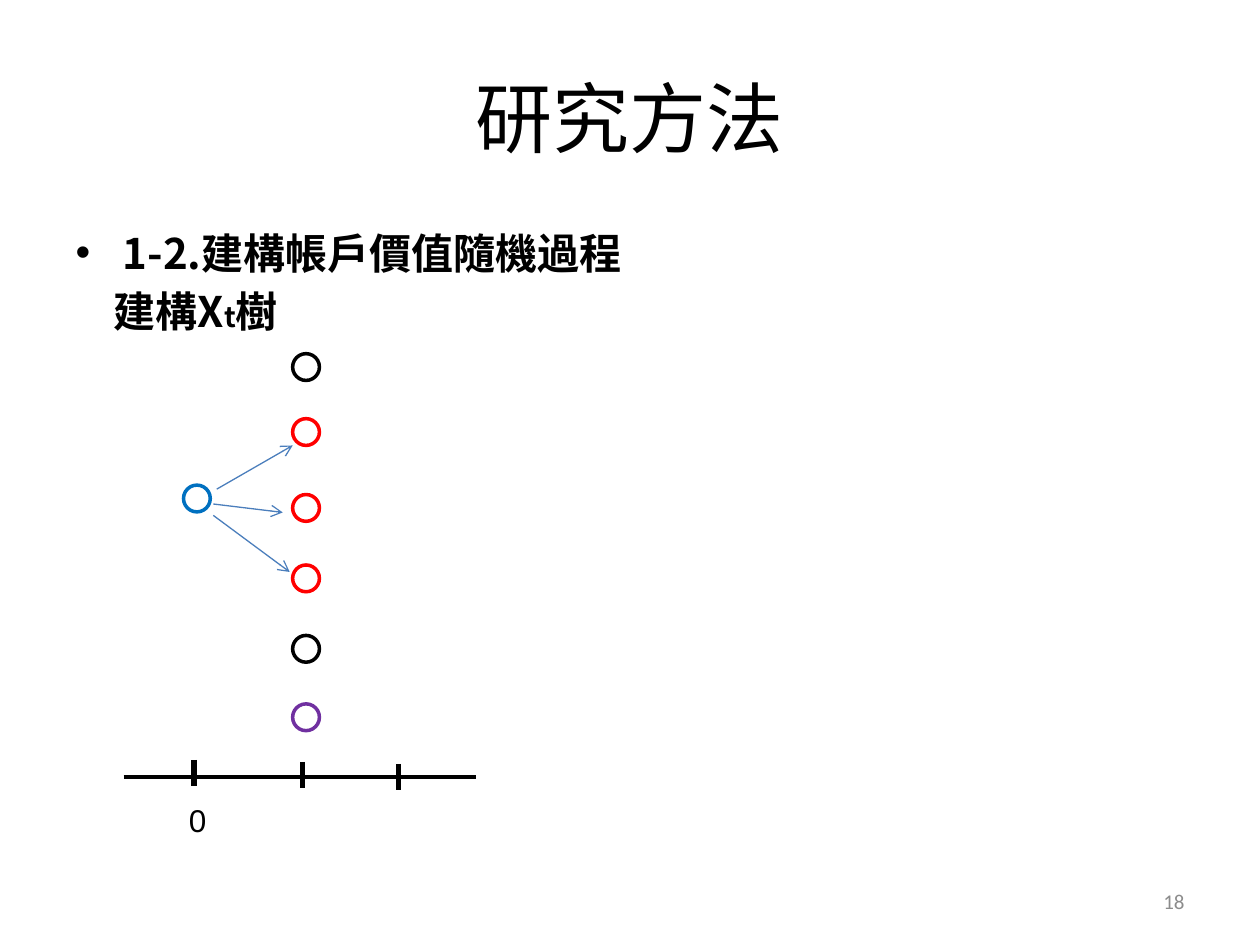
from lxml.etree import SubElement
from pptx import Presentation
from pptx.dml.color import RGBColor
from pptx.enum.shapes import MSO_CONNECTOR, MSO_SHAPE
from pptx.enum.text import MSO_ANCHOR as Anchor, PP_ALIGN as Align
from pptx.oxml.ns import qn
from pptx.util import Cm, Pt

COLORS = {
    "black": "000000", "white": "FFFFFF", "red": "FF0000", "blue": "0070C0",
    "purple": "7030A0", "arrow": "4B7EBC", "number": "8C8C8C",
}
CJK_FONT = "Noto Sans CJK SC"
NODE_SIZE = 0.54


def write(paragraph, text, color="black", **formats):
    run = paragraph.add_run()
    run.text = text
    for attribute, value in formats.items():
        setattr(run.font, attribute, value)
    run.font.color.rgb = RGBColor.from_string(COLORS[color])
    SubElement(run.font._element, qn("a:ea"), typeface=CJK_FONT)


def draw_line(start, end, color, width, arrow=False):
    line = slide.shapes.add_connector(
        MSO_CONNECTOR.STRAIGHT, *map(Cm, (*start, *end)))
    line.line.color.rgb = RGBColor.from_string(COLORS[color])
    line.line.width = Pt(width)
    if arrow:
        SubElement(line.line._get_or_add_ln(), qn("a:tailEnd"), type="arrow")
    SubElement(line._element.spPr, qn("a:effectLst"))


prs = Presentation()
prs.slide_width, prs.slide_height = Cm(25.4), Cm(19.05)
slide = prs.slides.add_slide(prs.slide_layouts[1])

# Title and list
title, body = slide.placeholders
for placeholder, top, height in ((title, 0.76, 3.18), (body, 4.45, 12.57)):
    placeholder.left, placeholder.top = Cm(1.27), Cm(top)
    placeholder.width, placeholder.height = Cm(22.86), Cm(height)

heading = title.text_frame.paragraphs[0]
title.text_frame.vertical_anchor = Anchor.MIDDLE
heading.alignment = Align.CENTER
write(heading, "研究方法", size=Pt(44), name="Calibri")

step = body.text_frame.paragraphs[0]
step.space_before = Pt(0)
write(step, "1-2.建構帳戶價值隨機過程", size=Pt(24), bold=True, name=CJK_FONT)

tree = body.text_frame.add_paragraph()
tree.space_before = Pt(4.8)
indent = tree._p.get_or_add_pPr()
indent.set("marL", str(Cm(0.77)))
indent.set("indent", "0")
SubElement(indent, qn("a:buNone"))
for text, size in (("建構X", 24), ("t", 16), ("樹", 24)):
    write(tree, text, size=Pt(size), bold=True, name=CJK_FONT)

# Time axis
draw_line((2.49, 15.67), (9.6, 15.67), "black", 2.25)
for x, top in ((3.91, 15.32), (6.1, 15.36), (8.03, 15.4)):
    draw_line((x, top), (x, top + 0.53), "black", 3)

# Nodes of the tree
for left, top, color in (
    (3.7, 9.78, "blue"),
    (5.9, 7.13, "black"),
    (5.9, 8.44, "red"),
    (5.9, 9.97, "red"),
    (5.9, 11.39, "red"),
    (5.9, 12.81, "black"),
    (5.9, 14.19, "purple"),
):
    node = slide.shapes.add_shape(
        MSO_SHAPE.OVAL, Cm(left), Cm(top), Cm(NODE_SIZE), Cm(NODE_SIZE))
    node.shadow.inherit = False
    node.fill.solid()
    node.fill.fore_color.rgb = RGBColor.from_string(COLORS["white"])
    node.line.color.rgb = RGBColor.from_string(COLORS[color])
    node.line.width = Pt(2)

# Branches from the root
for start, end in (
    ((4.37, 9.86), (5.9, 8.98)),
    ((4.3, 10.16), (5.7, 10.33)),
    ((4.3, 10.39), (5.84, 11.53)),
):
    draw_line(start, end, "arrow", 0.75, arrow=True)

# Axis label and page number
for text, box, anchor, align, color, size, font in (
    ("0", (3.56, 16.03, 1.6, 0.92), Anchor.TOP, Align.LEFT, "black", 18, "Arial"),
    ("18", (18.2, 17.66, 5.93, 1.01), Anchor.MIDDLE, Align.RIGHT, "number", 12, "Calibri"),
):
    label = slide.shapes.add_textbox(*map(Cm, box)).text_frame
    label.word_wrap = True
    label.vertical_anchor = anchor
    label.paragraphs[0].alignment = align
    write(label.paragraphs[0], text, color, size=Pt(size), name=font)

prs.save("out.pptx")
